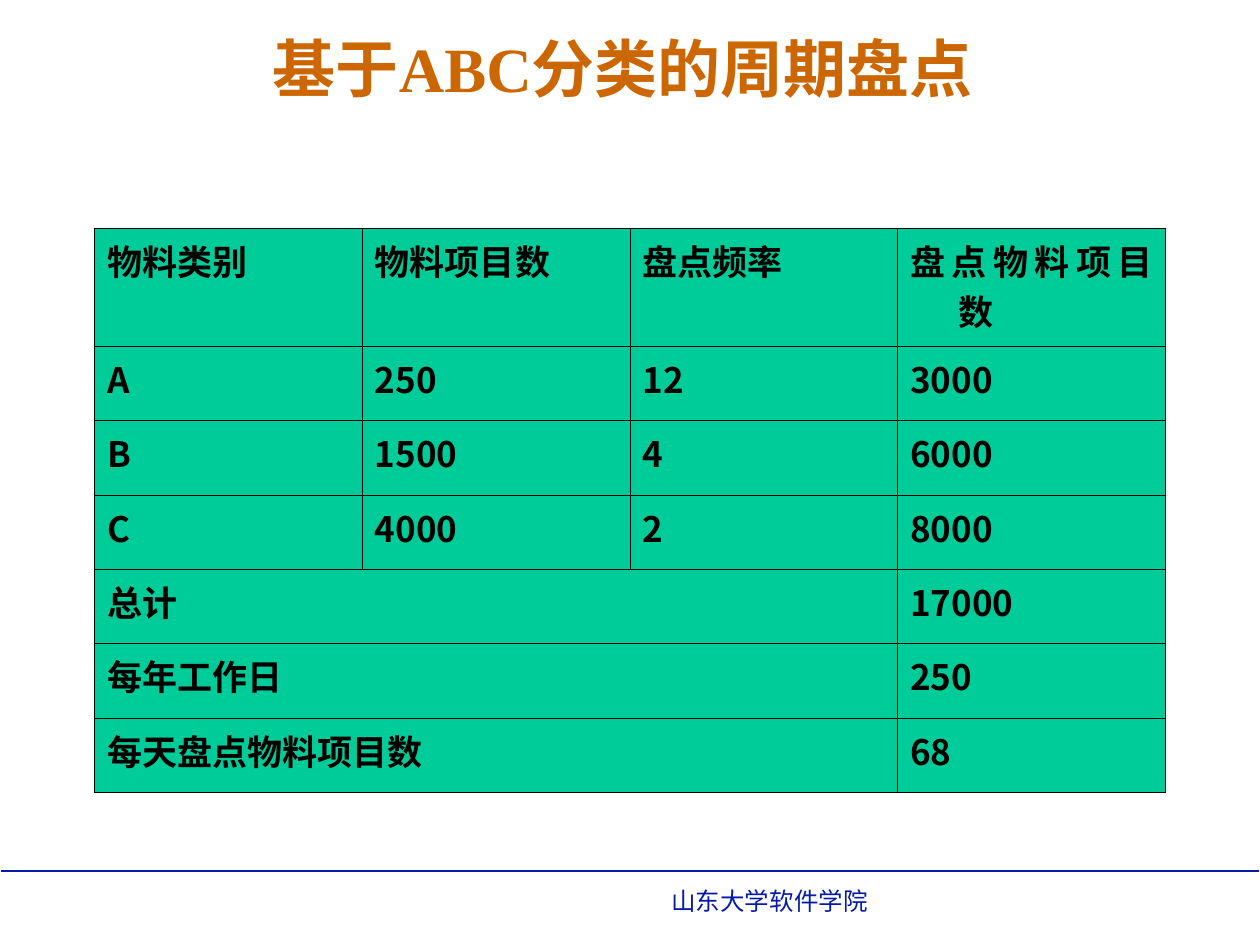
"""Build a slide with the ABC cycle counting table."""
from lxml import etree
from pptx import Presentation
from pptx.dml.color import RGBColor
from pptx.enum.shapes import MSO_CONNECTOR
from pptx.enum.text import MSO_ANCHOR, PP_ALIGN
from pptx.oxml.ns import qn
from pptx.util import Inches, Pt

STRAIGHT = MSO_CONNECTOR.STRAIGHT
MIDDLE = MSO_ANCHOR.MIDDLE
LEFT, CENTER, JUSTIFY = PP_ALIGN.LEFT, PP_ALIGN.CENTER, PP_ALIGN.JUSTIFY
COLORS = {"title": "CC6600", "footer": "061AAA", "cell": "00CC99", "ink": "000000"}
CJK_FONT = "Noto Sans CJK SC"
MARGIN, TABLE_TOP = 0.75, 1.81
HEADER_HEIGHT, ROW_HEIGHT = 0.94, 0.59
HANGING = Inches(0.38)
ROWS = [
    ["物料类别", "物料项目数", "盘点频率", "盘点物料项目数"],
    ["A", "250", "12", "3000"],
    ["B", "1500", "4", "6000"],
    ["C", "4000", "2", "8000"],
    ["总计", None, None, "17000"],
    ["每年工作日", None, None, "250"],
    ["每天盘点物料项目数", None, None, "68"],
]


def write(frame, text, size, font, color, align, bold=False):
    para = frame.paragraphs[0]
    para.alignment = align
    span = para.add_run()
    span.text = text
    span.font.size = Pt(size)
    span.font.bold = bold
    span.font.color.rgb = RGBColor.from_string(COLORS[color])
    span.font.name = font
    etree.SubElement(span.font._element, qn("a:ea"), typeface=CJK_FONT)
    return para


def outline(cell):
    properties = cell._tc.get_or_add_tcPr()
    for side in ("a:lnL", "a:lnR", "a:lnT", "a:lnB"):
        border = etree.SubElement(properties, qn(side), w=str(Pt(0.45)))
        fill = etree.SubElement(border, qn("a:solidFill"))
        etree.SubElement(fill, qn("a:srgbClr"), val=COLORS["ink"])


deck = Presentation()
deck.slide_width, deck.slide_height = Inches(10), Inches(7.5)
page = deck.slides.add_slide(deck.slide_layouts[6])
content_width = deck.slide_width - 2 * Inches(MARGIN)

rule = page.shapes.add_connector(STRAIGHT, Inches(0.01), Inches(6.91), Inches(9.99), Inches(6.91))
rule.line.color.rgb = RGBColor.from_string(COLORS["footer"])
rule.line.width = Pt(1)
etree.SubElement(rule._element.spPr, qn("a:effectLst"))

footer = page.shapes.add_textbox(Inches(5.23), Inches(6.98), Inches(4.33), Inches(0.34))
footer.text_frame.word_wrap = True
write(footer.text_frame, "山东大学软件学院", 14, "Arial", "footer", LEFT)

title = page.shapes.add_textbox(Inches(MARGIN), Inches(0.13), content_width, Inches(0.81))
title.text_frame.word_wrap = True
title.text_frame.vertical_anchor = MIDDLE
write(title.text_frame, "基于ABC分类的周期盘点 ", 36, "Times New Roman", "title", CENTER, True)

table_height = Inches(HEADER_HEIGHT + ROW_HEIGHT * (len(ROWS) - 1))
table = page.shapes.add_table(
    len(ROWS), len(ROWS[0]), Inches(MARGIN), Inches(TABLE_TOP), content_width, table_height
).table
for row_index, values in enumerate(ROWS):
    table.rows[row_index].height = Inches(ROW_HEIGHT if row_index else HEADER_HEIGHT)
    if None in values:
        table.cell(row_index, 0).merge(table.cell(row_index, 2))
    for column_index, value in enumerate(values):
        cell = table.cell(row_index, column_index)
        outline(cell)
        cell.fill.solid()
        cell.fill.fore_color.rgb = RGBColor.from_string(COLORS["cell"])
        if value:
            para = write(cell.text_frame, value, 20, CJK_FONT, "ink", JUSTIFY, True)
            indents = para._p.get_or_add_pPr()
            indents.set("marL", str(HANGING))
            indents.set("indent", str(-HANGING))

deck.save("out.pptx")
